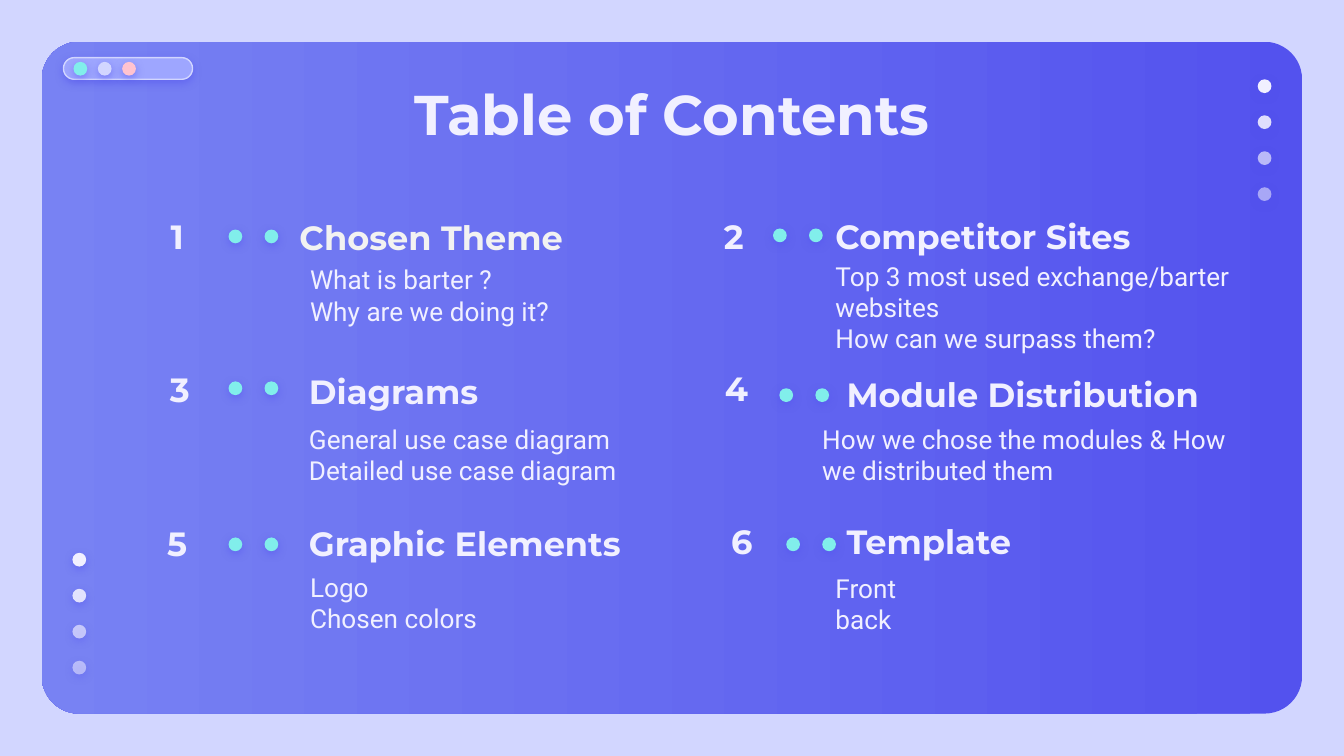
from pptx import Presentation
from pptx.dml.color import RGBColor
from pptx.enum.shapes import MSO_SHAPE
from pptx.enum.text import MSO_ANCHOR, MSO_AUTO_SIZE, PP_ALIGN
from pptx.oxml import parse_xml
from pptx.oxml.ns import qn
from pptx.util import Cm, Pt
from lxml.etree import SubElement

NS = "http://schemas.openxmlformats.org/drawingml/2006/main"
PALE, GREY, MINT, LILAC = "F1F0FF", "F2F2F2", "81EEEB", "D2D6FF"
DEEP, LIGHT = "5352EE", "7882F3"
DOT, STEP, ROW = 0.26, 0.68, 0.69

TOPICS = [
    dict(num="1", head="Chosen Theme", ink=GREY,
         body=["What is barter ?", "Why are we doing it?"],
         at=[(2.13, 4.11), (4.32, 4.34), (5.41, 4.14), (5.61, 4.9)], wide=5.18),
    dict(num="2", head="Competitor Sites", ink=PALE,
         body=["Top 3 most used exchange/barter websites",
               "How can we surpass them?"],
         at=[(12.65, 4.11), (14.61, 4.32), (15.54, 4.11), (15.54, 5.13)], wide=8.13),
    dict(num="3", head="Diagrams", ink=PALE,
         body=["General use case diagram", "Detailed use case diagram"],
         at=[(2.18, 7.01), (4.32, 7.21), (5.59, 7.04), (5.59, 7.92)], wide=8.33),
    dict(num="4", head="Module Distribution", ink=PALE,
         body=["How we chose the modules & How we distributed them"],
         at=[(12.7, 6.99), (14.73, 7.34), (15.75, 7.11), (15.29, 7.92)], wide=8.36),
    dict(num="5", head="Graphic Elements", ink=PALE,
         body=["Logo", "Chosen colors"],
         at=[(2.13, 9.93), (4.32, 10.16), (5.59, 9.93), (5.61, 10.72)], wide=5.18),
    dict(num="6", head="Template", ink=PALE,
         body=["Front", "back"],
         at=[(12.8, 9.88), (14.86, 10.16), (15.75, 9.88), (15.54, 10.74)], wide=5.18),
]
LIGHTS = [MINT, LILAC, "FFC3D0"]
FADES = [100, 89, 66, 54]
TRAILS = [(23.77, 1.5), (1.37, 10.45)]


def paint(fill, hue, alpha=100):
    fill.solid()
    fill.fore_color.rgb = RGBColor.from_string(hue)
    if alpha < 100:
        node = fill._xPr.find(".//" + qn("a:srgbClr"))
        SubElement(node, qn("a:alpha"), val=str(alpha * 1000))


def glow(shape):
    shape._element.spPr.append(parse_xml(
        f'<a:effectLst xmlns:a="{NS}"><a:outerShdw blurRad="57150" dist="19050" '
        f'dir="5400000" algn="bl" rotWithShape="0"><a:srgbClr val="{DEEP}">'
        '<a:alpha val="50000"/></a:srgbClr></a:outerShdw></a:effectLst>'))


def draw(kind, x, y, w, h):
    shape = slide.shapes.add_shape(kind, Cm(x), Cm(y), Cm(w), Cm(h))
    shape.line.fill.background()
    return shape


def dot(x, y, hue, alpha=100):
    shape = draw(MSO_SHAPE.OVAL, x, y, DOT, DOT)
    paint(shape.fill, hue, alpha)
    glow(shape)


def write(box, lines, size, face, hue, align, anchor):
    frame = box.text_frame
    frame.word_wrap = True
    frame.auto_size = MSO_AUTO_SIZE.NONE
    frame.vertical_anchor = anchor
    frame.margin_left = frame.margin_right = Cm(0.25)
    frame.margin_top = frame.margin_bottom = Cm(0.25)
    frame.text = "\n".join(lines)
    for para in frame.paragraphs:
        para.alignment = align
        para.font.name = face
        para.font.size = Pt(size)
        para.font.bold = face == "Montserrat"
        para.font.color.rgb = RGBColor.from_string(hue)


def label(spot, w, h, lines, size, face, hue, align=PP_ALIGN.LEFT):
    box = slide.shapes.add_textbox(Cm(spot[0]), Cm(spot[1]), Cm(w), Cm(h))
    write(box, lines, size, face, hue, align, MSO_ANCHOR.MIDDLE)


deck = Presentation()
deck.slide_width, deck.slide_height = Cm(25.4), Cm(14.29)
slide = deck.slides.add_slide(deck.slide_layouts[5])
paint(slide.background.fill, LILAC)

panel = draw(MSO_SHAPE.ROUNDED_RECTANGLE, 0.79, 0.79, 23.82, 12.7)
panel.adjustments[0] = 0.056
panel.shadow.inherit = False
panel.fill.gradient()
panel.fill.gradient_angle = 180
for stop, hue in zip(panel.fill.gradient_stops, (DEEP, LIGHT)):
    stop.color.rgb = RGBColor.from_string(hue)

pill = draw(MSO_SHAPE.ROUNDED_RECTANGLE, 1.2, 1.09, 2.44, 0.41)
pill.adjustments[0] = 0.5
paint(pill.fill, "9EA6FF")
paint(pill.line.fill, LILAC)
pill.line.width = Pt(0.75)
glow(pill)

for i, hue in enumerate(LIGHTS):
    dot(1.39 + i * 0.46, 1.17, hue)
for x, y in TRAILS:
    for i, fade in enumerate(FADES):
        dot(x, y + i * STEP, PALE, fade)

title = slide.shapes.title
title.left, title.top, title.width, title.height = Cm(2), Cm(1.25), Cm(21.4), Cm(1.6)
write(title, ["Table of Contents"], 30, "Montserrat", PALE,
      PP_ALIGN.CENTER, MSO_ANCHOR.TOP)
slide.shapes._spTree.append(title._element)

for topic in TOPICS:
    num, dots, head, body = topic["at"]
    label(num, 2.44, ROW, [topic["num"]], 18, "Montserrat", PALE, PP_ALIGN.CENTER)
    for i in range(2):
        dot(dots[0] + i * STEP, dots[1], MINT)
    label(head, 8.5, ROW, [topic["head"]], 18, "Montserrat", topic["ink"])
    label(body, topic["wide"], 1.35, topic["body"], 14, "Roboto", PALE)

deck.save("out.pptx")
